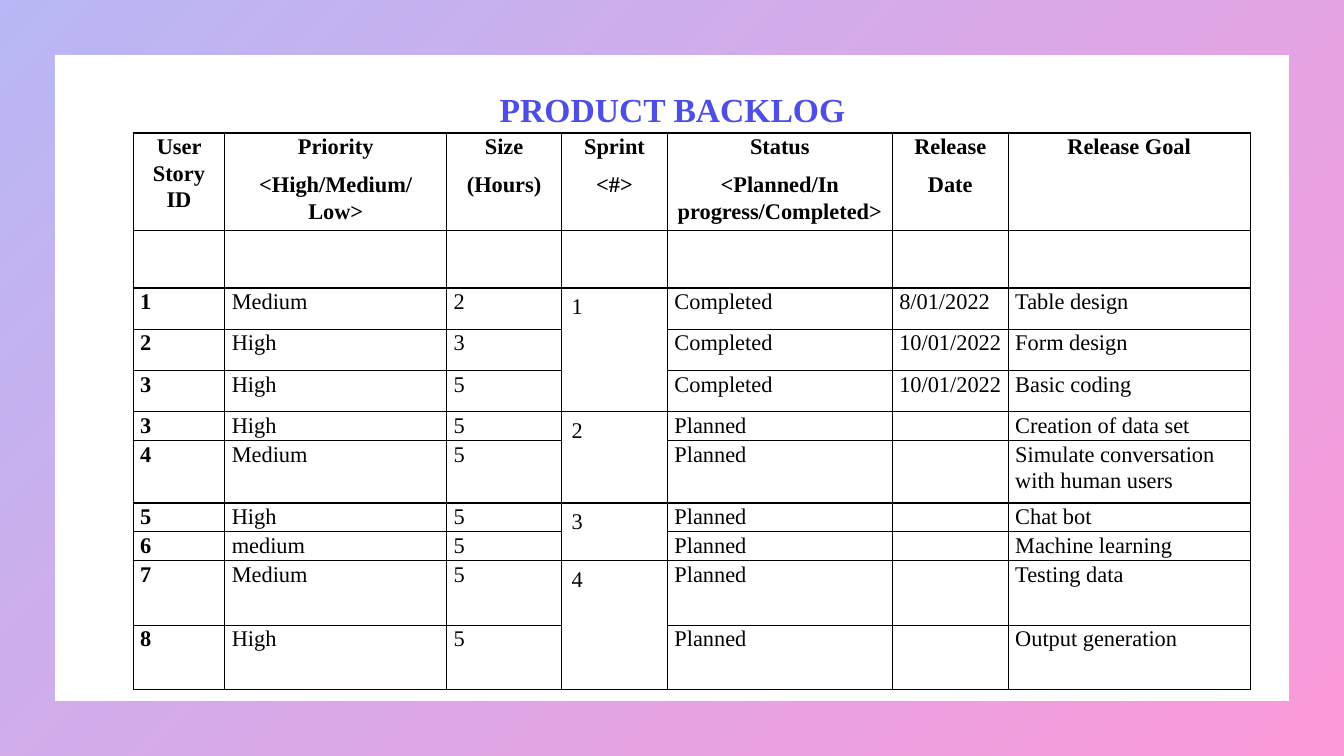
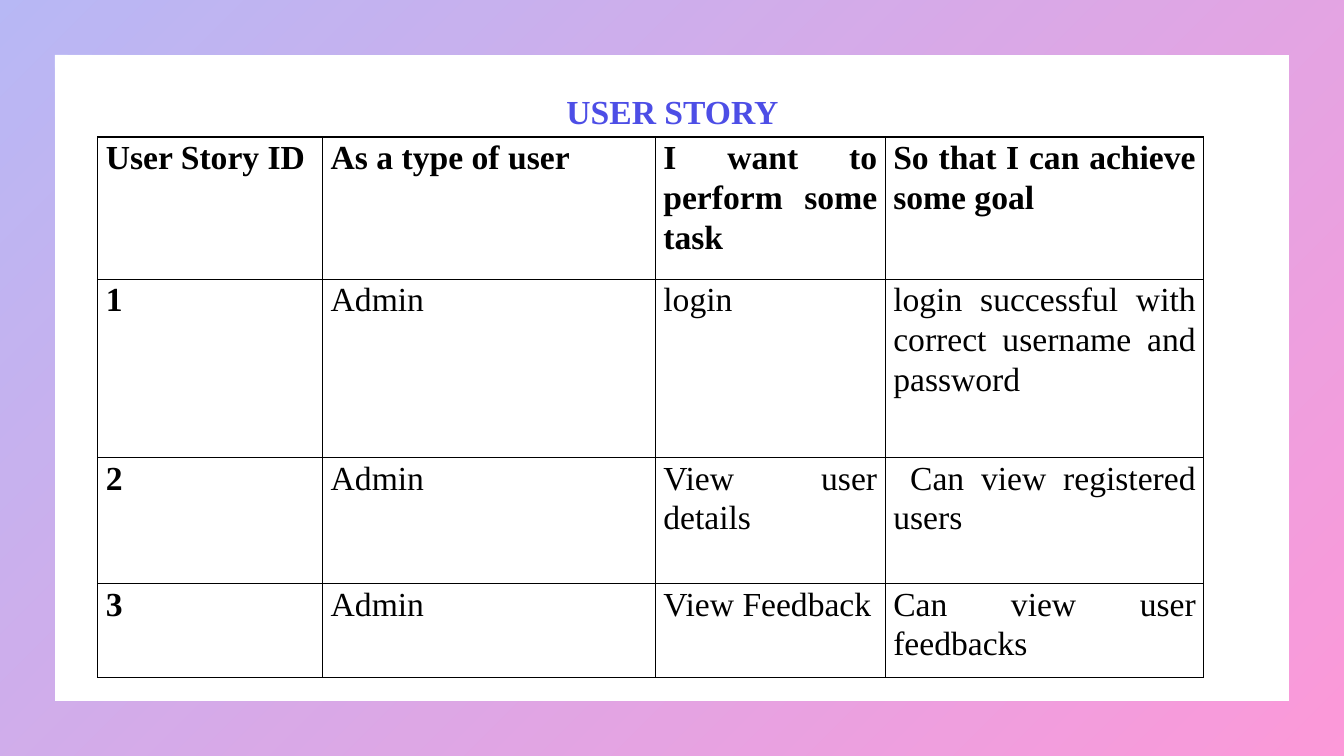
from dataclasses import dataclass
from typing import Any

from lxml.etree import SubElement
from pptx import Presentation
from pptx.dml.color import RGBColor
from pptx.enum.shapes import MSO_SHAPE
from pptx.enum.text import MSO_ANCHOR, PP_ALIGN
from pptx.oxml.ns import qn
from pptx.slide import Slide
from pptx.table import _Cell
from pptx.text.text import TextFrame
from pptx.util import Pt

EMU_PER_PX = 9144
SLIDE_WIDTH, SLIDE_HEIGHT = 1333, 750
FONT_NAME = "Times New Roman"
INDIGO = RGBColor(0x4D, 0x4E, 0xE6)
MAGENTA = RGBColor(0xF9, 0x00, 0xA0)
BLACK = RGBColor(0, 0, 0)
WHITE = RGBColor(0xFF, 0xFF, 0xFF)
FRAME_ALPHA = "40000"
BORDER_WIDTH = Pt(1)
BORDER_SIDES = ("a:lnL", "a:lnR", "a:lnT", "a:lnB")
TITLE_PARAGRAPH = {"alignment": PP_ALIGN.CENTER, "line_spacing": 0.9}
CELL_PARAGRAPH = {"line_spacing": 1.07, "space_after": Pt(8)}


@dataclass(frozen=True)
class Box:
    left: int
    top: int
    width: int
    height: int

    def emu(self) -> tuple[int, ...]:
        return tuple(map(px, (self.left, self.top, self.width, self.height)))


@dataclass(frozen=True)
class Inset:
    horizontal: int
    vertical: int

    def margins(self) -> dict[str, int]:
        return {
            "margin_left": px(self.horizontal),
            "margin_right": px(self.horizontal),
            "margin_top": px(self.vertical),
            "margin_bottom": px(self.vertical),
        }


@dataclass(frozen=True)
class Span:
    column: int
    first_row: int
    last_row: int


@dataclass(frozen=True)
class TableSlide:
    title: str
    title_box: Box
    left: int
    top: int
    columns: tuple[int, ...]
    rows: tuple[int, ...]
    cells: tuple[tuple[str, ...], ...]
    font_size: int
    header_alignment: PP_ALIGN
    body_alignment: PP_ALIGN
    inset: Inset
    spans: tuple[Span, ...] = ()


SPAN_INSET = Inset(10, 5)
PRODUCT_BACKLOG = TableSlide(
    title="PRODUCT BACKLOG",
    title_box=Box(167, 68, 1000, 66),
    left=132,
    top=132,
    columns=(91, 220, 114, 105, 223, 115, 240),
    rows=(89, 57, 41, 41, 41, 25, 62, 25, 25, 64, 64),
    cells=(
        ("User Story ID", "Priority\n<High/Medium/Low>", "Size\n(Hours)", "Sprint\n<#>",
         "Status\n<Planned/In progress/Completed>", "Release\nDate", "Release Goal"),
        ("",) * 7,
        ("1", "Medium", "2", "1", "Completed", "8/01/2022", "Table design"),
        ("2", "High", "3", "", "Completed", "10/01/2022", "Form design"),
        ("3", "High", "5", "", "Completed", "10/01/2022", "Basic coding"),
        ("3", "High", "5", "2", "Planned", "", "Creation of data set"),
        ("4", "Medium", "5", "", "Planned", "", "Simulate conversation with human users"),
        ("5", "High", "5", "3", "Planned", "", "Chat bot"),
        ("6", "medium", "5", "", "Planned", "", "Machine learning"),
        ("7", "Medium", "5", "4", "Planned", "", "Testing data"),
        ("8", "High", "5", "", "Planned", "", "Output generation"),
    ),
    font_size=16,
    header_alignment=PP_ALIGN.CENTER,
    body_alignment=PP_ALIGN.LEFT,
    inset=Inset(7, 0),
    spans=(Span(3, 2, 4), Span(3, 5, 6), Span(3, 7, 8), Span(3, 9, 10)),
)
USER_STORY = TableSlide(
    title="USER STORY",
    title_box=Box(167, 80, 1000, 56),
    left=97,
    top=136,
    columns=(223, 330, 228, 316),
    rows=(141, 177, 125, 93),
    cells=(
        ("User Story ID", "As a type of user", "I want to perform some task",
         "So that I can achieve some goal"),
        ("1", "Admin", "login", "login successful with correct username and password"),
        ("2", "Admin", "View user details", " Can view registered users"),
        ("3", "Admin", "View Feedback", "Can view user feedbacks"),
    ),
    font_size=24,
    header_alignment=PP_ALIGN.JUSTIFY,
    body_alignment=PP_ALIGN.JUSTIFY,
    inset=Inset(8, 0),
)


def px(length: int) -> int:
    return length * EMU_PER_PX


def set_attributes(target: Any, values: dict[str, Any]) -> None:
    for name, value in values.items():
        setattr(target, name, value)


def write_text(text_frame: TextFrame, text: str, size: int, bold: bool,
               color: RGBColor, paragraph_format: dict[str, Any]) -> None:
    for index, line in enumerate(text.split("\n")):
        paragraph = text_frame.add_paragraph() if index else text_frame.paragraphs[0]
        set_attributes(paragraph, paragraph_format)
        if not line:
            SubElement(paragraph._p, qn("a:endParaRPr"), sz=str(size * 100))
            continue
        run = paragraph.add_run()
        run.text = line
        set_attributes(run.font, {"name": FONT_NAME, "size": Pt(size), "bold": bold})
        run.font.color.rgb = color


def add_gradient_frame(slide: Slide) -> None:
    frame = slide.shapes.add_shape(MSO_SHAPE.FRAME, *Box(0, 0, SLIDE_WIDTH, SLIDE_HEIGHT).emu())
    frame.adjustments[0] = 0.072
    frame.shadow.inherit = False
    frame.line.fill.background()
    frame.fill.gradient()
    frame.fill.gradient_angle = 315
    for stop, color in zip(frame.fill.gradient_stops, (INDIGO, MAGENTA)):
        stop.color.rgb = color
    for color_element in frame._element.spPr.iter(qn("a:srgbClr")):
        SubElement(color_element, qn("a:alpha"), val=FRAME_ALPHA)


def add_title(slide: Slide, text: str, box: Box) -> None:
    text_frame = slide.shapes.add_textbox(*box.emu()).text_frame
    set_attributes(text_frame, {"word_wrap": True, "vertical_anchor": MSO_ANCHOR.BOTTOM})
    write_text(text_frame, text, 24, True, INDIGO, TITLE_PARAGRAPH)


def style_cell(cell: _Cell, inset: Inset) -> None:
    set_attributes(cell, inset.margins())
    properties = cell._tc.get_or_add_tcPr()
    for side in BORDER_SIDES:
        border = SubElement(properties, qn(side), w=str(BORDER_WIDTH))
        fill = SubElement(border, qn("a:solidFill"))
        SubElement(fill, qn("a:srgbClr"), val=str(BLACK))
    cell.fill.solid()
    cell.fill.fore_color.rgb = WHITE


def add_bordered_table(slide: Slide, content: TableSlide) -> None:
    box = Box(content.left, content.top, sum(content.columns), sum(content.rows))
    table = slide.shapes.add_table(len(content.rows), len(content.columns), *box.emu()).table
    set_attributes(table, {"first_row": False, "horz_banding": False})
    for column, width in zip(table.columns, content.columns):
        column.width = px(width)
    for row, height in zip(table.rows, content.rows):
        row.height = px(height)
    for span in content.spans:
        table.cell(span.first_row, span.column).merge(table.cell(span.last_row, span.column))
    for row_index, texts in enumerate(content.cells):
        is_header = row_index == 0
        alignment = content.header_alignment if is_header else content.body_alignment
        for column_index, text in enumerate(texts):
            cell = table.cell(row_index, column_index)
            style_cell(cell, SPAN_INSET if cell.is_merge_origin else content.inset)
            write_text(cell.text_frame, text, content.font_size, is_header or column_index == 0,
                       BLACK, CELL_PARAGRAPH | {"alignment": alignment})


def main() -> None:
    presentation = Presentation()
    set_attributes(presentation, {"slide_width": px(SLIDE_WIDTH), "slide_height": px(SLIDE_HEIGHT)})
    for content in (PRODUCT_BACKLOG, USER_STORY):
        slide = presentation.slides.add_slide(presentation.slide_layouts[6])
        add_gradient_frame(slide)
        add_title(slide, content.title, content.title_box)
        add_bordered_table(slide, content)
    presentation.save("out.pptx")


if __name__ == "__main__":
    main()
